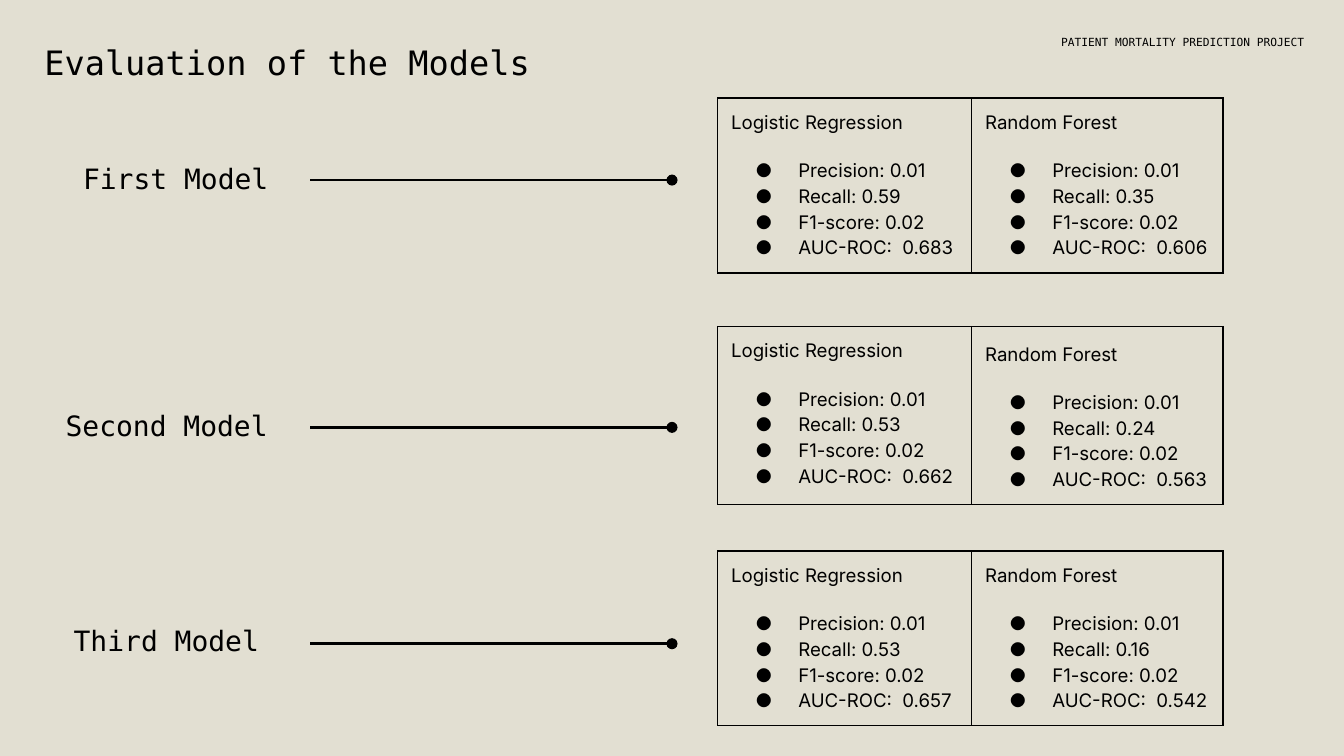
"""Build the slide that compares the evaluation metrics of three models."""
import pptx
import pptx.dml.color
import pptx.enum.shapes
import pptx.enum.text
import pptx.oxml
import pptx.oxml.ns
import pptx.util
from pptx.util import Inches

BLACK = pptx.dml.color.RGBColor(0x00, 0x00, 0x00)
SAND = pptx.dml.color.RGBColor(0xE2, 0xDF, 0xD2)
LEFT = pptx.enum.text.PP_ALIGN.LEFT
RIGHT = pptx.enum.text.PP_ALIGN.RIGHT
METRICS = ("Precision: ", "Recall: ", "F1-score: ", "AUC-ROC:  ")
ALGORITHMS = ("Logistic Regression", "Random Forest")
MODELS = (
    dict(label="First Model", label_left=0.52, label_top=1.21, line_top=1.34, table_top=0.73,
         spacings=(None, None),
         scores=(("0.01", "0.59", "0.02", "0.683"), ("0.01", "0.35", "0.02", "0.606"))),
    dict(label="Second Model", label_left=0.39, label_top=3.05, line_top=3.18, table_top=2.43,
         spacings=(None, 1.15),
         scores=(("0.01", "0.53", "0.02", "0.662"), ("0.01", "0.24", "0.02", "0.563"))),
    dict(label="Third Model", label_left=0.45, label_top=4.65, line_top=4.79, table_top=4.1,
         spacings=(None, None),
         scores=(("0.01", "0.53", "0.02", "0.657"), ("0.01", "0.16", "0.02", "0.542"))),
)


def append_xml(parent, tag, content="", **attributes):
    """Append a DrawingML element to a parent element."""
    listed = "".join(f' {name}="{value}"' for name, value in attributes.items())
    namespace = pptx.oxml.ns.nsdecls("a")
    parent.append(pptx.oxml.parse_xml(f"<a:{tag} {namespace}{listed}>{content}</a:{tag}>"))


def write_text(paragraph, text, font, size, align=LEFT, spacing=None, before=0, bullet=False):
    """Write formatted text into a paragraph."""
    if bullet:
        properties = paragraph._p.get_or_add_pPr()
        properties.set("marL", str(Inches(0.5)))
        properties.set("indent", str(Inches(-0.32)))
        append_xml(properties, "buClr", f'<a:srgbClr val="{BLACK}"/>')
        append_xml(properties, "buFont", typeface=font)
        append_xml(properties, "buChar", char="●")
    paragraph.alignment = align
    paragraph.space_before = pptx.util.Pt(before)
    if spacing:
        paragraph.line_spacing = spacing
    run = paragraph.add_run()
    run.text = text
    run.font.name = font
    run.font.size = pptx.util.Pt(size)
    run.font.color.rgb = BLACK


class SlideBuilder:
    """Hold the style and the current slide."""

    heading_font = "DejaVu Sans Mono"
    body_font = "Inter"
    inset = Inches(0.1)

    def __init__(self, presentation):
        """Add a slide with a plain background."""
        self.slide = presentation.slides.add_slide(presentation.slide_layouts[5])
        self.slide.background.fill.solid()
        self.slide.background.fill.fore_color.rgb = SAND

    def fill_frame(self, shape, text, size, **text_format):
        """Set up the text frame of a shape and write its text."""
        frame = shape.text_frame
        frame.word_wrap = True
        frame.auto_size = pptx.enum.text.MSO_AUTO_SIZE.NONE
        frame.vertical_anchor = pptx.enum.text.MSO_ANCHOR.MIDDLE
        frame.margin_left = frame.margin_right = self.inset
        frame.margin_top = frame.margin_bottom = self.inset
        write_text(frame.paragraphs[0], text, self.heading_font, size, **text_format)

    def title(self, text, left, top, width, height):
        """Place and write the title placeholder."""
        shape = self.slide.shapes.title
        shape.left, shape.top = Inches(left), Inches(top)
        shape.width, shape.height = Inches(width), Inches(height)
        self.fill_frame(shape, text, 18)

    def label(self, text, left, top, width, size, **text_format):
        """Add a one-line text box."""
        shape = self.slide.shapes.add_textbox(
            Inches(left), Inches(top), Inches(width), Inches(0.26))
        self.fill_frame(shape, text, size, **text_format)

    def pointer(self, top, left=2.31, right=5):
        """Add a horizontal line that ends in a dot."""
        connector = self.slide.shapes.add_connector(
            pptx.enum.shapes.MSO_CONNECTOR.STRAIGHT,
            Inches(left), Inches(top), Inches(right), Inches(top))
        connector.line.color.rgb = BLACK
        connector.line.width = pptx.util.Pt(1.5)
        append_xml(connector.line._get_or_add_ln(), "tailEnd", type="oval")
        append_xml(connector._element.spPr, "effectLst")

    def score_table(self, top, scores, spacings):
        """Add a table with one cell of metrics per algorithm."""
        widths = (1.89, 1.87)
        table = self.slide.shapes.add_table(
            1, len(widths), Inches(5.34), Inches(top), Inches(sum(widths)), Inches(0.71)).table
        table.first_row = table.horz_banding = False
        for index, width in enumerate(widths):
            table.columns[index].width = Inches(width)
            self.score_cell(table.cell(0, index), ALGORITHMS[index], scores[index], spacings[index])

    def score_cell(self, cell, algorithm, values, spacing):
        """Border a cell and write its heading and bulleted metrics."""
        for side in ("lnL", "lnR", "lnT", "lnB"):
            append_xml(cell._tc.get_or_add_tcPr(), side,
                       f'<a:solidFill><a:srgbClr val="{BLACK}"/></a:solidFill>',
                       w=pptx.util.Pt(0.75))
        cell.fill.background()
        cell.margin_left = cell.margin_right = self.inset
        cell.margin_top = cell.margin_bottom = self.inset
        frame = cell.text_frame
        write_text(frame.paragraphs[0], algorithm, self.body_font, 10, spacing=spacing)
        for index, (metric, value) in enumerate(zip(METRICS, values)):
            write_text(frame.add_paragraph(), metric + value, self.body_font, 10,
                       spacing=1.15, before=0 if index else 12, bullet=True)


def main():
    """Build and save the presentation."""
    presentation = pptx.Presentation()
    presentation.slide_width = Inches(10)
    presentation.slide_height = Inches(10) * 9 // 16
    builder = SlideBuilder(presentation)
    builder.title("Evaluation of the Models", 0.23, 0.33, 4.44, 0.26)
    builder.label("PATIENT MORTALITY PREDICTION PROJECT", 7.72, 0.18, 2.08, 6, align=RIGHT)
    for model in MODELS:
        builder.pointer(model["line_top"])
        builder.label(model["label"], model["label_left"], model["label_top"], 2.2, 15, spacing=0.9)
        builder.score_table(model["table_top"], model["scores"], model["spacings"])
    presentation.save("out.pptx")


if __name__ == "__main__":
    main()
